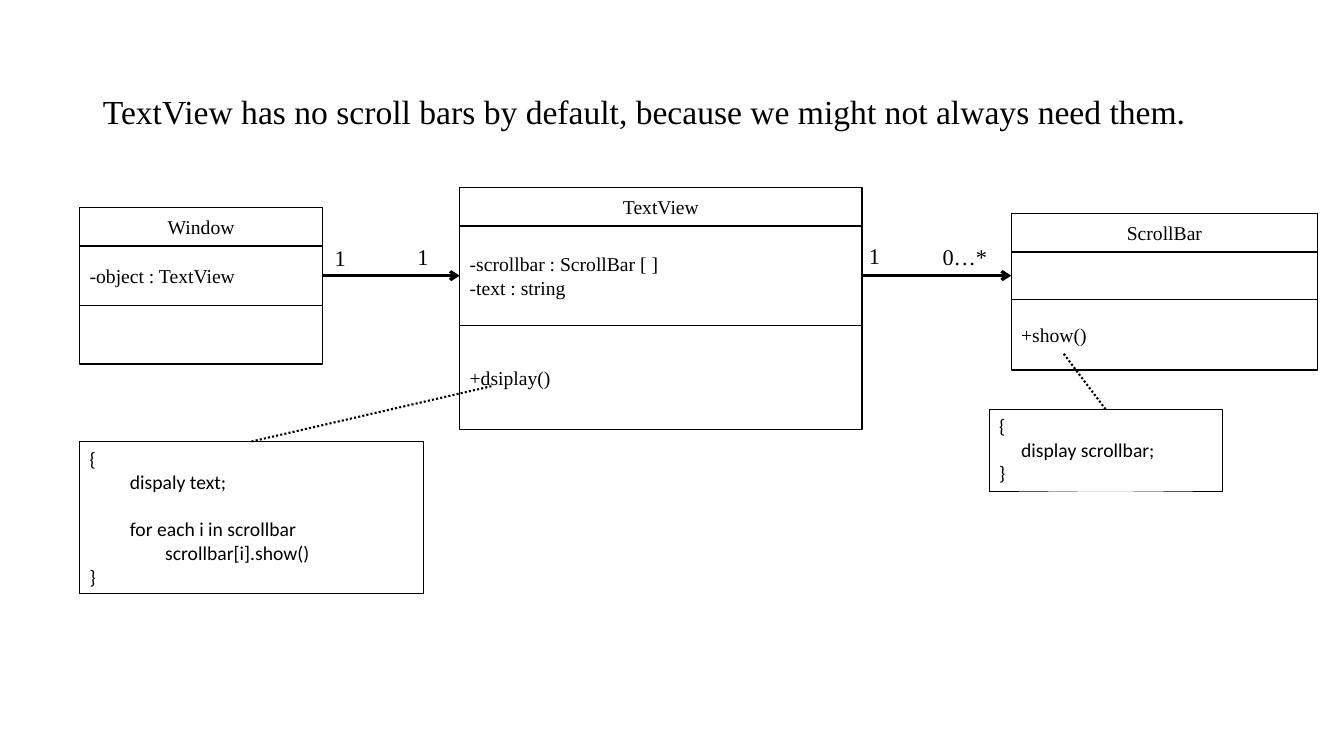
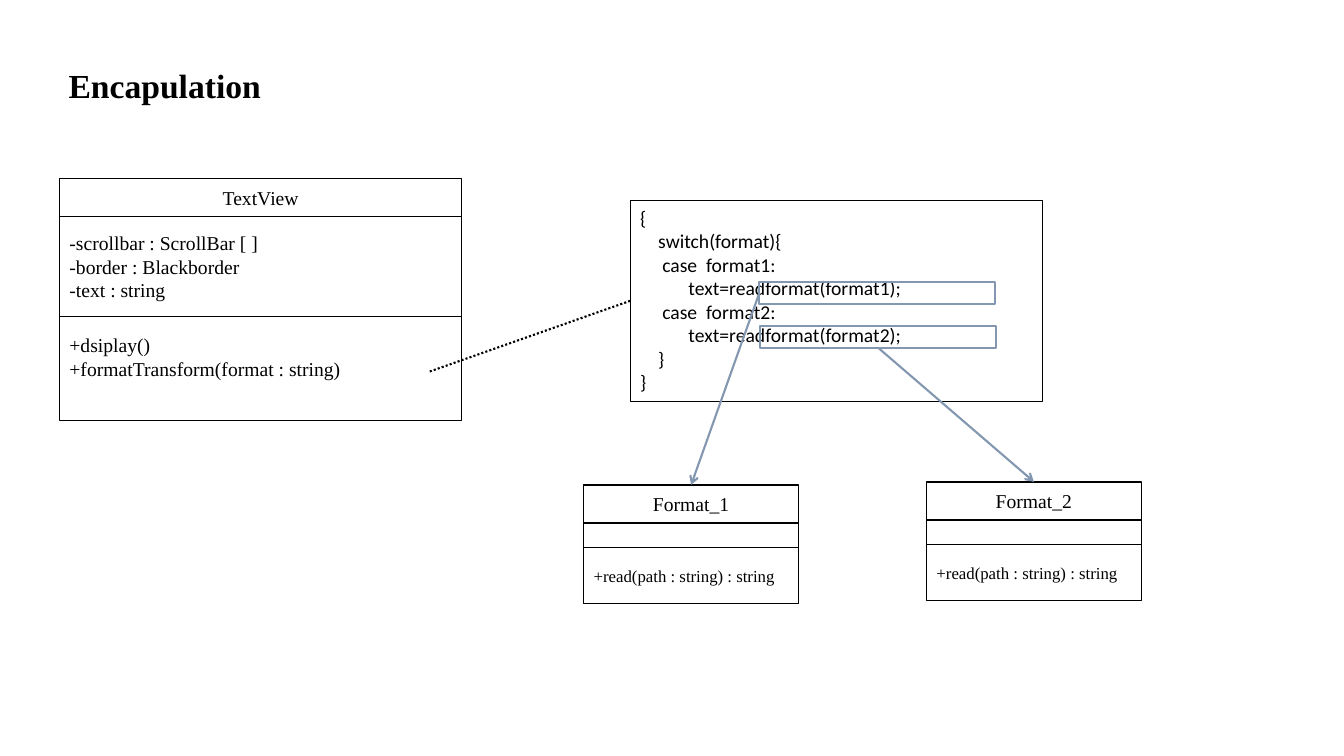
from lxml import etree
from pptx import Presentation
from pptx.dml.color import RGBColor
from pptx.enum.dml import MSO_LINE
from pptx.enum.shapes import MSO_CONNECTOR, MSO_SHAPE
from pptx.enum.text import MSO_ANCHOR, MSO_AUTO_SIZE, PP_ALIGN
from pptx.oxml.ns import qn
from pptx.util import Inches, Pt

RECTANGLE = MSO_SHAPE.RECTANGLE
STRAIGHT = MSO_CONNECTOR.STRAIGHT
DOTTED = MSO_LINE.ROUND_DOT
TOP, MIDDLE = MSO_ANCHOR.TOP, MSO_ANCHOR.MIDDLE
LEFT, CENTER = PP_ALIGN.LEFT, PP_ALIGN.CENTER
FIXED = MSO_AUTO_SIZE.NONE
TOP_SIDE, LEFT_SIDE, BOTTOM_SIDE, RIGHT_SIDE = range(4)

BLACK, STEEL = "000000", "8497B0"
SERIF, SANS = "Times New Roman", "Calibri"
HEADER_HEIGHT = 0.38
TITLE_ONLY = 5


def color(value):
    return RGBColor.from_string(value)


class DiagramDeck:
    """Holds the style and the current slide."""

    def __init__(self):
        self.deck = Presentation()
        self.deck.slide_width = Inches(13.33)
        self.deck.slide_height = Inches(7.5)
        self.page = None

    def style(self, frame, size, font=SERIF, align=LEFT, bold=False):
        frame.word_wrap = True
        frame.auto_size = FIXED
        for para in frame.paragraphs:
            para.alignment = align
            for span in para.runs:
                span.font.name = font
                span.font.size = Pt(size)
                span.font.bold = bold
                span.font.color.rgb = color(BLACK)

    def add_page(self, title, left, top, width, height, bold=False):
        self.page = self.deck.slides.add_slide(self.deck.slide_layouts[TITLE_ONLY])
        box = self.page.shapes.title
        box.left, box.top = Inches(left), Inches(top)
        box.width, box.height = Inches(width), Inches(height)
        frame = box.text_frame
        frame.text = title
        frame.vertical_anchor = MIDDLE
        frame.paragraphs[0].line_spacing = 0.9
        self.style(frame, 24, bold=bold)

    def frame_box(self, left, top, width, height, line=BLACK, weight=1.0, parent=None):
        shapes = (parent or self.page).shapes
        box = shapes.add_shape(RECTANGLE, Inches(left), Inches(top),
                               Inches(width), Inches(height))
        box.shadow.inherit = False
        box.fill.background()
        box.line.color.rgb = color(line)
        box.line.width = Pt(weight)
        return box

    def class_box(self, left, top, width, heights, texts, operation_size=14):
        """Draw name, attribute and operation rows; return the three rows."""
        group = self.page.shapes.add_group_shape()
        rows = []
        row_styles = ((14, CENTER), (14, LEFT), (operation_size, LEFT))
        for height, text, (size, align) in zip((HEADER_HEIGHT, *heights), texts, row_styles):
            row = self.frame_box(left, top, width, height, parent=group)
            if text:
                row.text_frame.text = text
                row.text_frame.vertical_anchor = MIDDLE
                self.style(row.text_frame, size, align=align)
            rows.append(row)
            top += height
        return rows

    def code_box(self, left, top, width, height, lines, gap_before=None):
        """Draw a code note; lines are (indent in inches, text)."""
        box = self.frame_box(left, top, width, height, weight=0.25)
        frame = box.text_frame
        frame.text = "\n".join(text for _, text in lines)
        frame.vertical_anchor = TOP
        self.style(frame, 14, font=SANS)
        for para, (indent, _) in zip(frame.paragraphs, lines):
            para._p.get_or_add_pPr().set("marL", str(Inches(indent)))
        if gap_before is not None:
            frame.paragraphs[gap_before].space_before = Pt(17)
        return box

    def label(self, text, left, top, width=0.42):
        box = self.page.shapes.add_textbox(Inches(left), Inches(top),
                                           Inches(width), Inches(0.37))
        box.text_frame.text = text
        self.style(box.text_frame, 16)

    def connector(self, box, side, end, line, weight):
        link = self.page.shapes.add_connector(STRAIGHT, 0, 0, Inches(end[0]), Inches(end[1]))
        link.begin_connect(box, side)
        link.line.color.rgb = color(line)
        link.line.width = Pt(weight)
        etree.SubElement(link.element.spPr, qn("a:effectLst"))
        return link

    def arrow(self, box, side, target, target_side, line=BLACK, weight=2.25):
        link = self.connector(box, side, (0, 0), line, weight)
        link.end_connect(target, target_side)
        outline = link.element.spPr.find(qn("a:ln"))
        etree.SubElement(outline, qn("a:tailEnd"), type="arrow")

    def note_line(self, note, side, end):
        link = self.connector(note, side, end, BLACK, 1.5)
        link.line.dash_style = DOTTED


def scroll_bar_page(deck):
    deck.add_page("TextView has no scroll bars by default, "
                  "because we might not always need them.", 0.92, 0.4, 11.5, 1.45)

    # Classes
    window = deck.class_box(0.79, 2.06, 2.41, (0.59, 0.58),
                            ("Window", "-object : TextView", ""))
    text_view = deck.class_box(4.56, 1.86, 3.99, (0.99, 1.03),
                               ("TextView", "-scrollbar : ScrollBar [ ]\n-text : string",
                                "+dsiplay()"))
    scroll_bar = deck.class_box(10.03, 2.12, 3.04, (0.47, 0.7),
                                ("ScrollBar", "", "+show()"))

    # Associations and multiplicities
    for source, target in ((window, text_view), (text_view, scroll_bar)):
        deck.arrow(source[1], RIGHT_SIDE, target[1], LEFT_SIDE)
    deck.label("1", 3.22, 2.37)
    deck.label("1", 4.04, 2.36)
    deck.label("1", 8.52, 2.35)
    deck.label("0…*", 9.25, 2.36, 0.94)

    # Code notes
    display_note = deck.code_box(0.79, 4.38, 3.41, 1.51, (
        (0, "{"),
        (0.4, "dispaly text;"),
        (0.4, "for each i in scrollbar"),
        (0.75, "scrollbar[i].show()"),
        (0, "}")), gap_before=2)
    show_note = deck.code_box(9.81, 4.06, 2.31, 0.81, (
        (0, "{"), (0.22, "display scrollbar;"), (0, "}")))
    deck.note_line(display_note, TOP_SIDE, (4.88, 3.83))
    deck.note_line(show_note, TOP_SIDE, (10.55, 3.51))


def encapsulation_page(deck):
    deck.add_page("Encapulation", 0.58, 0.36, 12, 1.02, bold=True)

    # Text view class, with its operations raised by one line
    text_view = deck.class_box(
        0.59, 1.77, 3.99, (0.99, 1.03),
        ("TextView", "-scrollbar : ScrollBar [ ]\n-border : Blackborder\n-text : string",
         "+dsiplay()\n+formatTransform(format : string)"))
    text_view[2].text_frame.margin_bottom = Inches(0.28)

    # Code note
    switch_note = deck.code_box(6.25, 1.99, 4.09, 1.99, (
        (0, "{"),
        (0.18, "switch(format){"),
        (0.22, "case  format1:"),
        (0.48, "text=readformat(format1);"),
        (0.22, "case  format2:"),
        (0.48, "text=readformat(format2);"),
        (0.18, "}"),
        (0, "}")))
    deck.note_line(switch_note, LEFT_SIDE, (4.25, 3.69))

    # Highlighted calls and the format classes they reach
    calls = (("Format_1", 5.79, 4.81, 7.53, 2.8, LEFT_SIDE),
             ("Format_2", 9.19, 4.78, 7.54, 3.23, BOTTOM_SIDE))
    for name, left, top, call_left, call_top, side in calls:
        call = deck.frame_box(call_left, call_top, 2.34, 0.22, STEEL, 1.5)
        format_class = deck.class_box(left, top, 2.13, (0.24, 0.56),
                                      (name, "", "+read(path : string) : string"),
                                      operation_size=12)
        deck.arrow(call, side, format_class[0], TOP_SIDE, STEEL, 1.5)


def main():
    deck = DiagramDeck()
    scroll_bar_page(deck)
    encapsulation_page(deck)
    deck.deck.save("out.pptx")


if __name__ == "__main__":
    main()
